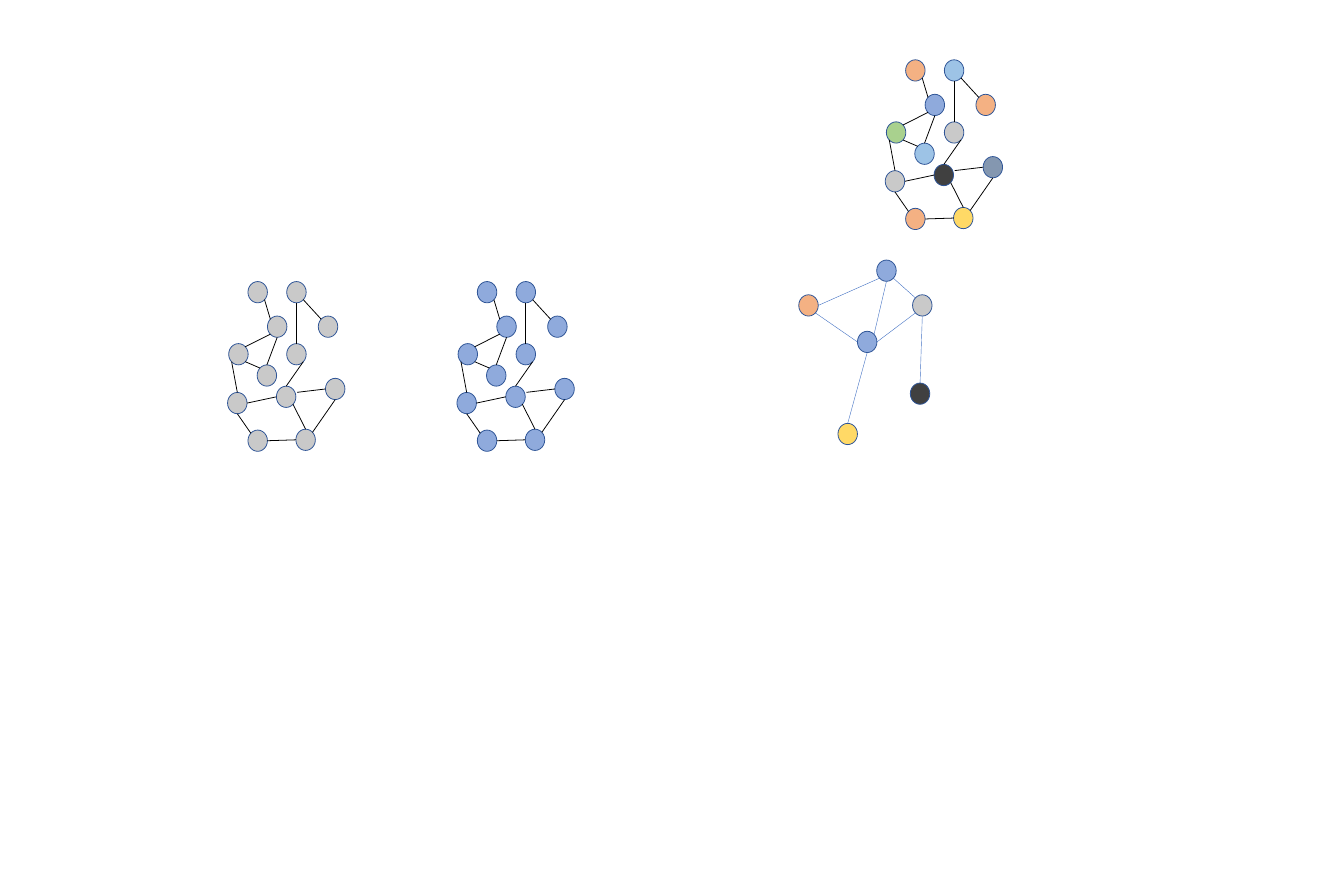
from typing import NamedTuple

from lxml import etree
from pptx import Presentation
from pptx import util as u
from pptx.dml.color import RGBColor
from pptx.dml.line import LineFormat
from pptx.enum import shapes
from pptx.oxml import ns
from pptx.shapes.group import GroupShape

NODE_WIDTH, NODE_HEIGHT = 0.87, 0.95
GREY, BLUE, ORANGE, SKY = "C9C9C9", "8FAADC", "F4B183", "9DC3E6"
GREEN, DARK, SLATE, YELLOW = "A9D18E", "404040", "8497B0", "FFD966"
OUTLINE, BLACK, LINK_BLUE = "2F5597", "000000", "4472C4"

# Points of a node, as shares of its width and height
SITES = {
    "N": (0.5, 0), "S": (0.5, 1), "W": (0, 0.5), "E": (1, 0.5),
    "NW": (0.15, 0.15), "NE": (0.85, 0.15),
    "SW": (0.15, 0.85), "SE": (0.85, 0.85),
    "ENE": (1.06, 0.29),
}


class Spot(NamedTuple):
    """A place in cm; for nodes, their top left corner within the graph."""
    x: float
    y: float


class Edge(NamedTuple):
    start: int
    start_site: str
    end: int
    end_site: str


class Layout(NamedTuple):
    nodes: list[Spot]
    edges: list[Edge]


class Graph(NamedTuple):
    layout: Layout
    origin: Spot
    fills: list[str]
    edge_colour: str = BLACK
    edge_width: float = 1


MOLECULE = Layout(
    nodes=[
        Spot(0.91, 0), Spot(1.78, 1.54), Spot(2.64, 0), Spot(4.05, 1.54),
        Spot(2.64, 2.77), Spot(0.05, 2.77), Spot(1.32, 3.72), Spot(0, 4.95),
        Spot(2.18, 4.67), Spot(4.37, 4.32), Spot(0.91, 6.63), Spot(3.05, 6.59),
    ],
    edges=[
        Edge(0, "SE", 1, "NW"), Edge(2, "S", 4, "N"), Edge(2, "SE", 3, "NW"),
        Edge(1, "S", 6, "N"), Edge(1, "SW", 5, "NE"), Edge(5, "SE", 6, "NW"),
        Edge(4, "SE", 8, "N"), Edge(7, "E", 8, "W"), Edge(8, "ENE", 9, "W"),
        Edge(5, "SW", 7, "N"), Edge(7, "S", 10, "NW"), Edge(9, "S", 11, "NE"),
        Edge(10, "E", 11, "W"), Edge(8, "SE", 11, "N"),
    ],
)
SUMMARY = Layout(
    nodes=[
        Spot(0, 1.55), Spot(3.48, 0), Spot(5.08, 1.55),
        Spot(2.62, 3.18), Spot(4.98, 5.49), Spot(1.75, 7.29),
    ],
    edges=[
        Edge(0, "E", 1, "SW"), Edge(1, "SE", 2, "NW"), Edge(1, "S", 3, "NE"),
        Edge(3, "S", 5, "N"), Edge(2, "S", 4, "N"), Edge(0, "SE", 3, "W"),
        Edge(3, "E", 2, "SW"),
    ],
)
GRAPHS = [
    Graph(MOLECULE, Spot(10.16, 12.57), [GREY] * 12),
    Graph(MOLECULE, Spot(20.4, 12.57), [BLUE] * 12),
    Graph(MOLECULE, Spot(39.52, 2.67),
          [ORANGE, BLUE, SKY, ORANGE, GREY, GREEN,
           SKY, GREY, DARK, SLATE, ORANGE, YELLOW]),
    Graph(SUMMARY, Spot(35.66, 11.61),
          [ORANGE, BLUE, GREY, BLUE, DARK, YELLOW], LINK_BLUE, 0.5),
]


def rgb(colour: str) -> RGBColor:
    return RGBColor.from_string(colour)


def format_line(line: LineFormat, colour: str, width: float) -> None:
    line.color.rgb = rgb(colour)
    line.width = u.Pt(width)


def add_node(group: GroupShape, corner: Spot, fill: str) -> None:
    node = group.shapes.add_shape(
        shapes.MSO_SHAPE.OVAL, u.Cm(corner.x), u.Cm(corner.y),
        u.Cm(NODE_WIDTH), u.Cm(NODE_HEIGHT))
    node.shadow.inherit = False
    node.fill.solid()
    node.fill.fore_color.rgb = rgb(fill)
    format_line(node.line, OUTLINE, 1)


def site_spot(corner: Spot, site: str) -> Spot:
    across, down = SITES[site]
    return Spot(corner.x + across * NODE_WIDTH, corner.y + down * NODE_HEIGHT)


def add_edge(group: GroupShape, start: Spot, end: Spot,
             colour: str, width: float) -> None:
    edge = group.shapes.add_connector(
        shapes.MSO_CONNECTOR.STRAIGHT,
        u.Cm(start.x), u.Cm(start.y), u.Cm(end.x), u.Cm(end.y))
    format_line(edge.line, colour, width)
    etree.SubElement(edge._element.spPr, ns.qn("a:effectLst"))


def add_graph(group: GroupShape, graph: Graph) -> None:
    corners = [Spot(graph.origin.x + node.x, graph.origin.y + node.y)
               for node in graph.layout.nodes]
    for corner, fill in zip(corners, graph.fills):
        add_node(group, corner, fill)
    for edge in graph.layout.edges:
        add_edge(group,
                 site_spot(corners[edge.start], edge.start_site),
                 site_spot(corners[edge.end], edge.end_site),
                 graph.edge_colour, graph.edge_width)


def main() -> None:
    deck = Presentation()
    deck.slide_width, deck.slide_height = u.Cm(60), u.Cm(40)
    page = deck.slides.add_slide(deck.slide_layouts[6])
    for graph in GRAPHS:
        add_graph(page.shapes.add_group_shape(), graph)
    deck.save("out.pptx")


if __name__ == "__main__":
    main()
